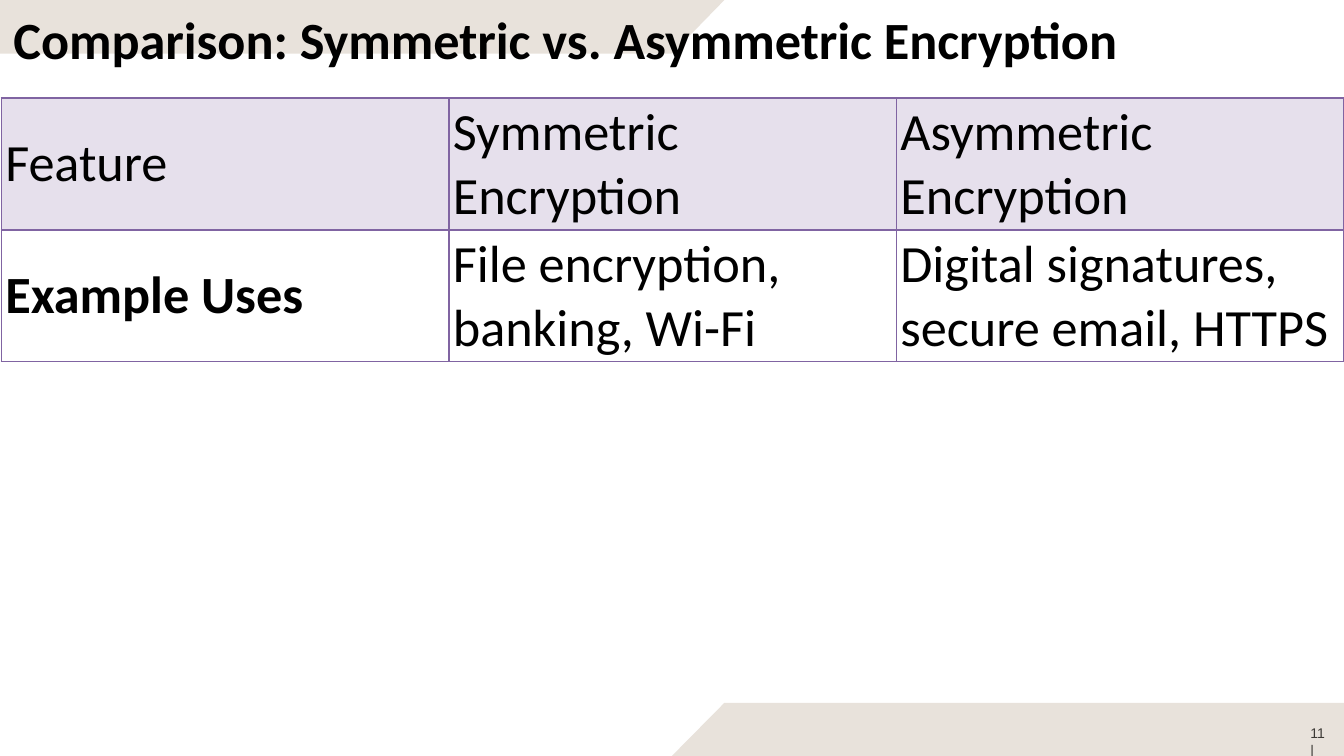
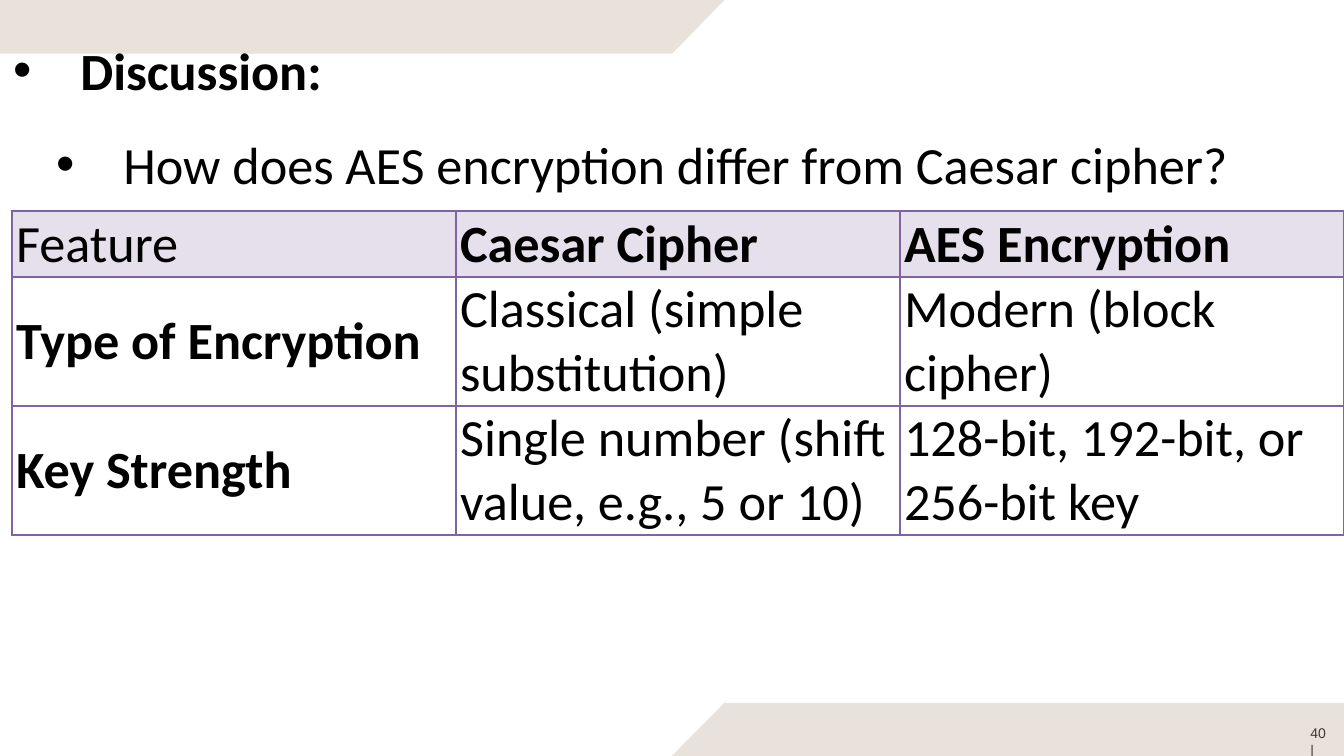
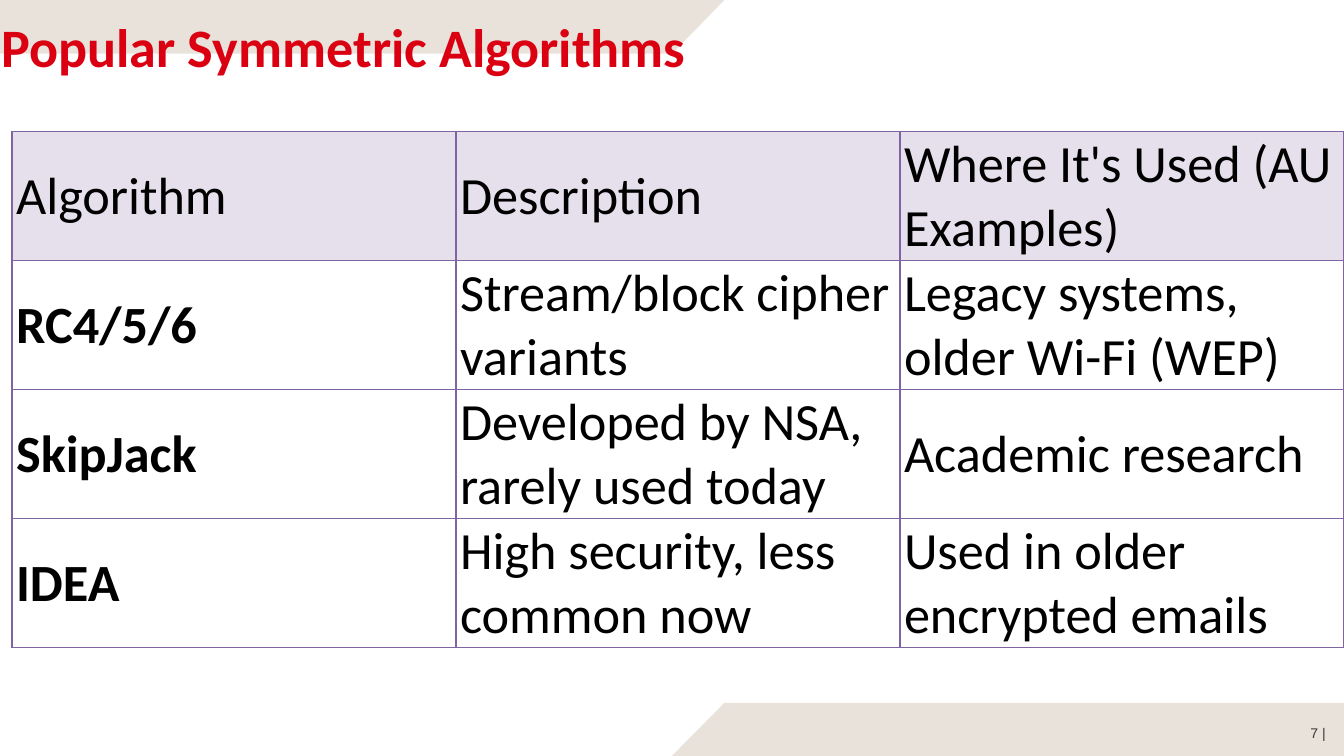
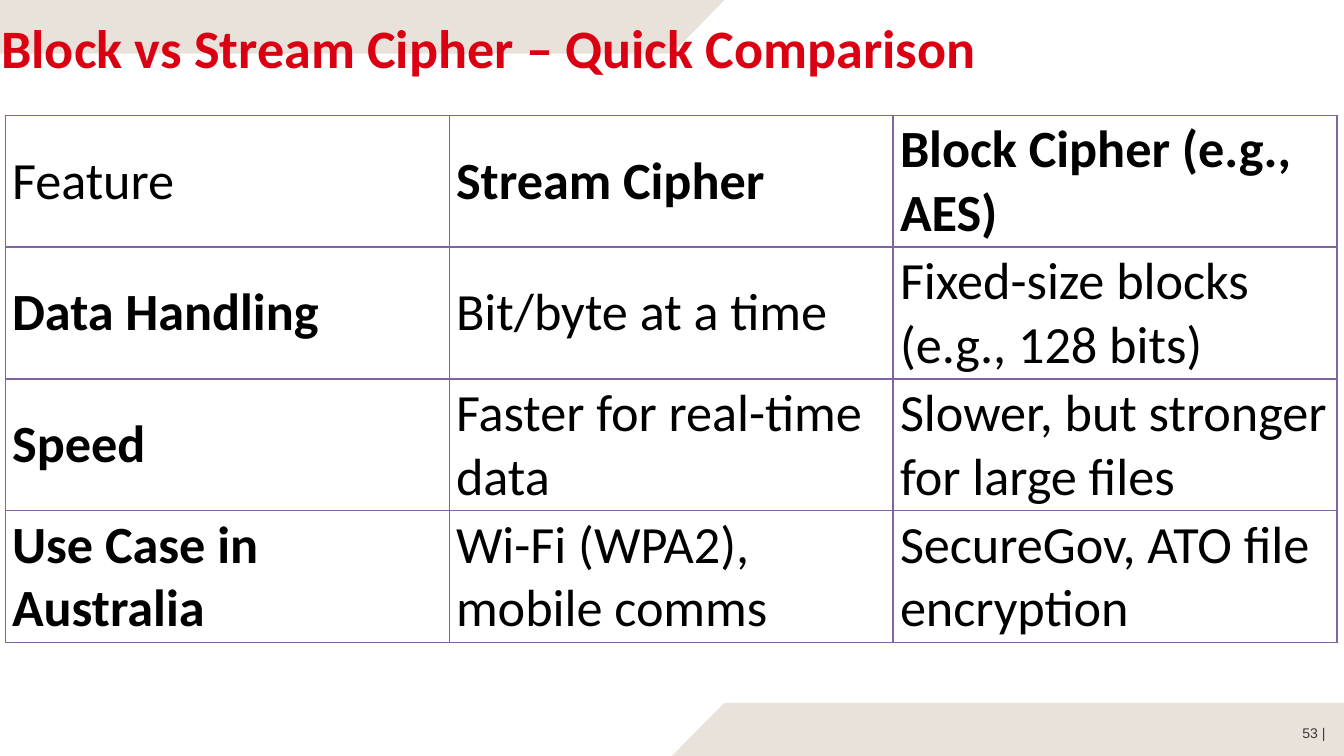
from dataclasses import dataclass

from lxml.etree import SubElement
from pptx import Presentation
from pptx.dml.color import RGBColor
from pptx.enum.text import MSO_ANCHOR, MSO_AUTO_SIZE, PP_ALIGN
from pptx.oxml.ns import qn
from pptx.util import Inches, Pt


@dataclass(frozen=True)
class Theme:
    font: str = "Calibri"
    page_font: str = "Arial"
    ink: str = "000000"
    red: str = "DA0012"
    page_ink: str = "3C3935"
    band: str = "E8E2DB"
    head: str = "E6E0EC"
    border: str = "8064A2"
    body_size: float = 28
    title_size: float = 29
    page_size: float = 7.5
    line_height: float = 0.47


T = Theme()
WIDTH = 10
HEIGHT = WIDTH * 9 / 16
TITLE_ONLY, BLANK = 5, 6


# Shared helpers
def add_run(p, text, size=T.body_size, color=T.ink, bold=False, font=T.font):
    r = p.add_run()
    r.text = text
    r.font.name, r.font.size, r.font.bold = font, Pt(size), bold
    r.font.color.rgb = RGBColor.from_string(color)
    return r


def set_insets(box, left, top, right, bottom):
    box.margin_left, box.margin_top = Inches(left), Inches(top)
    box.margin_right, box.margin_bottom = Inches(right), Inches(bottom)


def set_indent(p, left, hanging=0):
    pPr = p._p.get_or_add_pPr()
    pPr.set("marL", str(Inches(left)))
    pPr.set("indent", str(Inches(hanging)))
    return pPr


def place(sp, box):
    sp.left, sp.top, sp.width, sp.height = map(Inches, box)


# Slanted bands, kept on the master so that they lie behind every title
def add_master_bands(prs, s):
    bands = [
        [(5.39, 0), (0, 0), (0, 0.4), (5, 0.4)],
        [(WIDTH, 5.23), (5.39, 5.23), (5, HEIGHT), (WIDTH, HEIGHT)],
    ]
    for number, points in enumerate(bands):
        start, *rest = [(Inches(x), Inches(y)) for x, y in points]
        builder = s.shapes.build_freeform(*start)
        builder.add_line_segments(rest, close=True)
        sp = builder.convert_to_shape()
        sp.shadow.inherit = False
        sp.fill.solid()
        sp.fill.fore_color.rgb = RGBColor.from_string(T.band)
        sp.line.fill.background()
        sp.element.nvSpPr.cNvPr.set("id", str(101 + number))
        prs.slide_master.shapes.element.insert(2 + number, sp.element)


# Title
def add_title(s, text, box, size=T.title_size, color=T.red,
              insets=(0, 0.11, 0, 0), indent=0.01, anchor=MSO_ANCHOR.TOP, wrap=True):
    sp = s.shapes.title
    place(sp, box)
    tf = sp.text_frame
    tf.word_wrap, tf.vertical_anchor = wrap, anchor
    tf.auto_size = MSO_AUTO_SIZE.SHAPE_TO_FIT_TEXT
    set_insets(tf, *insets)
    p = tf.paragraphs[0]
    set_indent(p, indent)
    p.alignment = PP_ALIGN.LEFT
    add_run(p, text, size, color, bold=True)


# Page number
def add_page_number(s, number, box=(9.68, 5.39, 0.23, 0.15), indent=0.01):
    sp = s.shapes.add_textbox(*map(Inches, box))
    tf = sp.text_frame
    tf.word_wrap = True
    tf.auto_size = MSO_AUTO_SIZE.SHAPE_TO_FIT_TEXT
    set_insets(tf, 0, 0, 0, 0)
    p = tf.paragraphs[0]
    set_indent(p, indent)
    for text in (f"{number} ", "|"):
        r = add_run(p, text, T.page_size, T.page_ink, font=T.page_font)
    r.font._element.set("spc", "-50")


# Bulleted discussion
def add_discussion(s, box, items):
    tf = s.shapes.add_textbox(*map(Inches, box)).text_frame
    tf.word_wrap = True
    tf.auto_size = MSO_AUTO_SIZE.SHAPE_TO_FIT_TEXT
    for i, (text, left, bold) in enumerate(items):
        p = tf.paragraphs[0] if i == 0 else tf.add_paragraph()
        pPr = set_indent(p, left, -0.5)
        SubElement(pPr, qn("a:buFont")).set("typeface", T.page_font)
        SubElement(pPr, qn("a:buChar")).set("char", "•")
        p.line_spacing = 1.5
        add_run(p, text, bold=bold)


# Comparison table
def add_borders(cell):
    tcPr = cell._tc.get_or_add_tcPr()
    for side in ("lnL", "lnR", "lnT", "lnB"):
        ln = SubElement(tcPr, qn(f"a:{side}"), w=str(Pt(1)))
        fill = SubElement(ln, qn("a:solidFill"))
        SubElement(fill, qn("a:srgbClr"), val=T.border)


def add_comparison(s, left, top, width, rows, pad, row_lines,
                   head_fill=True, head_bold=False):
    pad_x, pad_y = pad
    heights = [n * T.line_height + 2 * pad_y for n in row_lines]
    box = (left, top, width, sum(heights))
    table = s.shapes.add_table(len(rows), len(rows[0]), *map(Inches, box)).table
    table.first_row = table.horz_banding = False
    for col in table.columns:
        col.width = Inches(width / len(rows[0]))
    for i, values in enumerate(rows):
        table.rows[i].height = Inches(heights[i])
        for j, text in enumerate(values):
            cell = table.cell(i, j)
            set_insets(cell, pad_x, pad_y, pad_x, pad_y)
            cell.vertical_anchor = MSO_ANCHOR.MIDDLE
            add_borders(cell)
            if i == 0 and head_fill:
                cell.fill.solid()
                cell.fill.fore_color.rgb = RGBColor.from_string(T.head)
            else:
                cell.fill.background()
            bold = (j > 0 and head_bold) if i == 0 else j == 0
            add_run(cell.text_frame.paragraphs[0], text, bold=bold)


# Slides
def symmetric_vs_asymmetric(prs):
    s = prs.slides.add_slide(prs.slide_layouts[TITLE_ONLY])
    add_master_bands(prs, s)
    add_page_number(s, 11, indent=0.07)
    add_comparison(s, 0.01, 0.73, 9.99, [
        ("Feature", "Symmetric Encryption", "Asymmetric Encryption"),
        ("Example Uses", "File encryption, banking, Wi-Fi",
         "Digital signatures, secure email, HTTPS"),
    ], pad=(0.03, 0.02), row_lines=(2, 2))
    add_title(s, "Comparison: Symmetric vs. Asymmetric Encryption", (0, 0, 8.53, 0.57),
              T.body_size, T.ink, insets=(0.1, 0.05, 0.1, 0.05), indent=0,
              anchor=MSO_ANCHOR.MIDDLE, wrap=False)


def caesar_vs_aes(prs):
    s = prs.slides.add_slide(prs.slide_layouts[BLANK])
    add_page_number(s, 40, indent=0.07)
    add_discussion(s, (0, 0, WIDTH, 1.44), [
        ("Discussion:", 0.5, True),
        ("How does AES encryption differ from Caesar cipher?", 0.82, False),
    ])
    add_comparison(s, 0.09, 1.57, 9.91, [
        ("Feature", "Caesar Cipher", "AES Encryption"),
        ("Type of Encryption", "Classical (simple substitution)", "Modern (block cipher)"),
        ("Key Strength", "Single number (shift value, e.g., 5 or 10)",
         "128-bit, 192-bit, or 256-bit key"),
    ], pad=(0.03, 0.01), row_lines=(1, 2, 2), head_bold=True)


def popular_algorithms(prs):
    s = prs.slides.add_slide(prs.slide_layouts[TITLE_ONLY])
    add_title(s, "Popular Symmetric Algorithms", (0, -0.01, 9.06, 0.6))
    add_page_number(s, 7, (9.74, 5.39, 0.17, 0.15))
    add_comparison(s, 0.09, 0.98, 9.91, [
        ("Algorithm", "Description", "Where It's Used (AU Examples)"),
        ("RC4/5/6", "Stream/block cipher variants", "Legacy systems, older Wi-Fi (WEP)"),
        ("SkipJack", "Developed by NSA, rarely used today", "Academic research"),
        ("IDEA", "High security, less common now", "Used in older encrypted emails"),
    ], pad=(0.03, 0.01), row_lines=(2, 2, 2, 2))


def block_vs_stream(prs):
    s = prs.slides.add_slide(prs.slide_layouts[TITLE_ONLY])
    add_title(s, "Block vs Stream Cipher – Quick Comparison", (0, 0, 9.06, 0.6))
    add_page_number(s, 53)
    add_comparison(s, 0.04, 0.86, 9.91, [
        ("Feature", "Stream Cipher", "Block Cipher (e.g., AES)"),
        ("Data Handling", "Bit/byte at a time", "Fixed-size blocks (e.g., 128 bits)"),
        ("Speed", "Faster for real-time data", "Slower, but stronger for large files"),
        ("Use Case in Australia", "Wi-Fi (WPA2), mobile comms",
         "SecureGov, ATO file encryption"),
    ], pad=(0.05, 0.02), row_lines=(2, 2, 2, 2), head_fill=False, head_bold=True)


def main():
    prs = Presentation()
    prs.slide_width, prs.slide_height = Inches(WIDTH), Inches(HEIGHT)
    for build in (symmetric_vs_asymmetric, caesar_vs_aes,
                  popular_algorithms, block_vs_stream):
        build(prs)
    prs.save("out.pptx")


if __name__ == "__main__":
    main()
